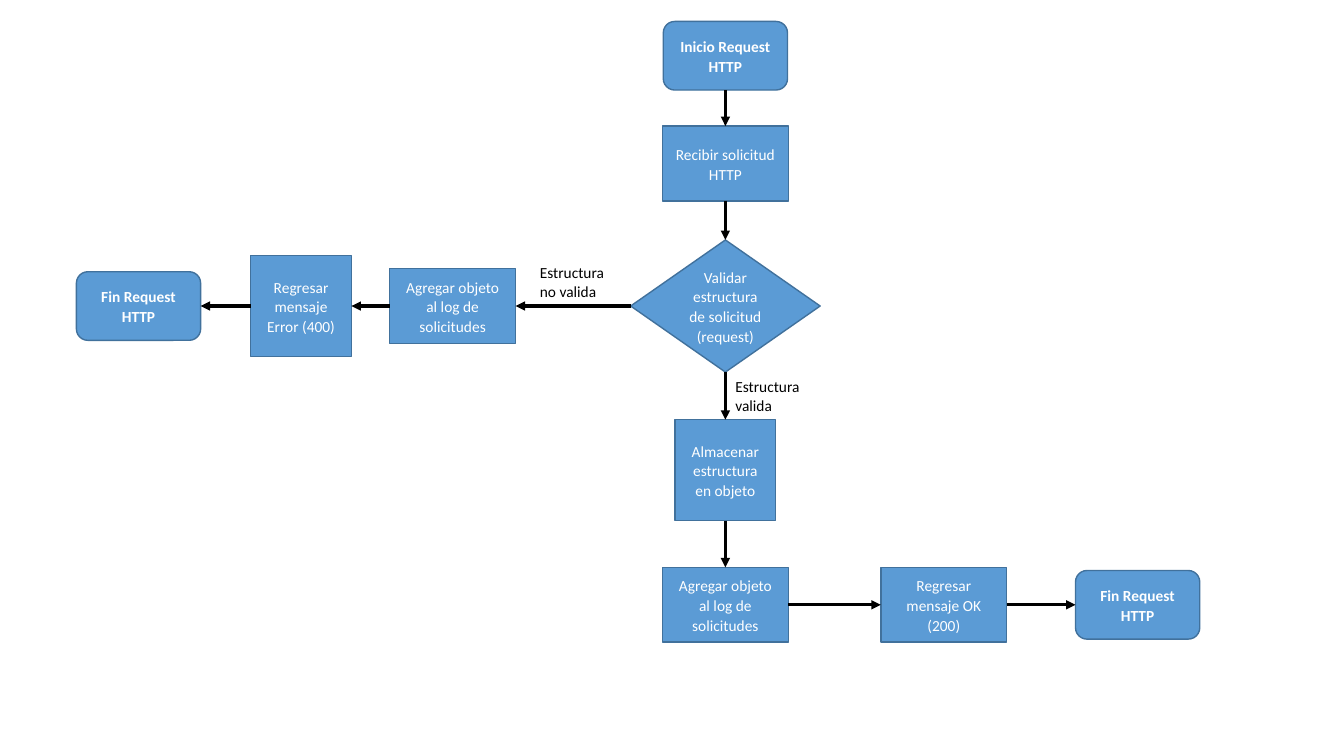
from dataclasses import dataclass

from lxml import etree
from pptx import Presentation
from pptx.dml.color import RGBColor
from pptx.enum.shapes import MSO_CONNECTOR, MSO_SHAPE
from pptx.enum.text import MSO_ANCHOR, PP_ALIGN
from pptx.oxml.ns import qn
from pptx.util import Pt

RECT = MSO_SHAPE.RECTANGLE
ROUNDED = MSO_SHAPE.ROUNDED_RECTANGLE
DIAMOND = MSO_SHAPE.DIAMOND
STRAIGHT = MSO_CONNECTOR.STRAIGHT
CENTER, LEFT = PP_ALIGN.CENTER, PP_ALIGN.LEFT
MIDDLE, TOP_ANCHOR = MSO_ANCHOR.MIDDLE, MSO_ANCHOR.TOP
TOP, WEST, BOTTOM, EAST = range(4)  # connection sites of a step


@dataclass(frozen=True)
class Theme:
    step: RGBColor = RGBColor(0x5B, 0x9B, 0xD5)
    border: RGBColor = RGBColor(0x41, 0x71, 0x9C)
    light: RGBColor = RGBColor(0xFF, 0xFF, 0xFF)
    dark: RGBColor = RGBColor(0, 0, 0)
    font: str = "Calibri"
    size: float = 11
    border_width: float = 1
    arrow_width: float = 2.25


THEME = Theme()


def write(shape, text, color=THEME.light, bold=False, align=CENTER,
          anchor=MIDDLE, spacing=1.07, after=8):
    frame = shape.text_frame
    frame.word_wrap = True
    frame.vertical_anchor = anchor
    paragraph = frame.paragraphs[0]
    paragraph.alignment = align
    paragraph.line_spacing = spacing
    paragraph.space_after = Pt(after)
    run = paragraph.add_run()
    run.text = text
    run.font.name = THEME.font
    run.font.size = Pt(THEME.size)
    run.font.bold = bold
    run.font.color.rgb = color


presentation = Presentation()
presentation.slide_width = Pt(960.5)
presentation.slide_height = Pt(540)
slide = presentation.slides.add_slide(presentation.slide_layouts[6])

# Kinds of step: outline, width, height
TERMINAL = (ROUNDED, 88.8, 49)
PROCESS = (RECT, 90, 53.5)
SQUARE = (RECT, 72, 72)
DECISION = (DIAMOND, 135.4, 94.4)

# Main column and the rows of the two branches
MAIN_X, CHECK_Y, REPLY_Y = 518.4, 218.6, 432

# Steps: name, kind, centre x, centre y, text
STEPS = [
    ("start", TERMINAL, MAIN_X, 39.8, "Inicio Request HTTP"),
    ("receive", PROCESS, MAIN_X, 116.8, "Recibir solicitud HTTP"),
    ("validate", DECISION, MAIN_X, CHECK_Y, "Validar estructura de solicitud (request)"),
    ("store", SQUARE, MAIN_X, 335.8, "Almacenar estructura en objeto"),
    ("log ok", PROCESS, MAIN_X, REPLY_Y, "Agregar objeto al log de solicitudes"),
    ("reply ok", PROCESS, 674.5, REPLY_Y, "Regresar mensaje OK (200)"),
    ("end ok", TERMINAL, 813, REPLY_Y, "Fin Request HTTP"),
    ("log error", PROCESS, 323.5, CHECK_Y, "Agregar objeto al log de solicitudes"),
    ("reply error", SQUARE, 215.2, CHECK_Y, "Regresar mensaje Error (400)"),
    ("end error", TERMINAL, 99, CHECK_Y, "Fin Request HTTP"),
]
steps = {}
for name, kind, x, y, text in STEPS:
    outline, width, height = kind
    step = slide.shapes.add_shape(outline, Pt(x - width / 2), Pt(y - height / 2),
                                  Pt(width), Pt(height))
    step.shadow.inherit = False
    step.fill.solid()
    step.fill.fore_color.rgb = THEME.step
    step.line.color.rgb = THEME.border
    step.line.width = Pt(THEME.border_width)
    write(step, text, bold=kind is TERMINAL)
    steps[name] = step

# Arrows: each flow leaves by one side and enters by the other
FLOWS = [
    (BOTTOM, TOP, ["start", "receive", "validate", "store", "log ok"]),
    (EAST, WEST, ["log ok", "reply ok", "end ok"]),
    (WEST, EAST, ["validate", "log error", "reply error", "end error"]),
]
for exit_side, entry_side, names in FLOWS:
    for source, target in zip(names, names[1:]):
        arrow = slide.shapes.add_connector(STRAIGHT, 0, 0, 0, 0)
        arrow.begin_connect(steps[source], exit_side)
        arrow.end_connect(steps[target], entry_side)
        arrow.line.color.rgb = THEME.dark
        arrow.line.width = Pt(THEME.arrow_width)
        etree.SubElement(arrow.line._get_or_add_ln(), qn("a:tailEnd"), type="triangle")
        etree.SubElement(arrow._element.spPr, qn("a:effectLst"))

# Branch labels: left, top, width, text
BRANCHES = [
    (378.7, 184.5, 72, "Estructura no valida"),
    (518.4, 266, 65.5, "Estructura valida"),
]
for left, top, width, text in BRANCHES:
    branch = slide.shapes.add_textbox(Pt(left), Pt(top), Pt(width), Pt(33.8))
    write(branch, text, color=THEME.dark, align=LEFT, anchor=TOP_ANCHOR,
          spacing=1.0, after=0)

presentation.save("out.pptx")
